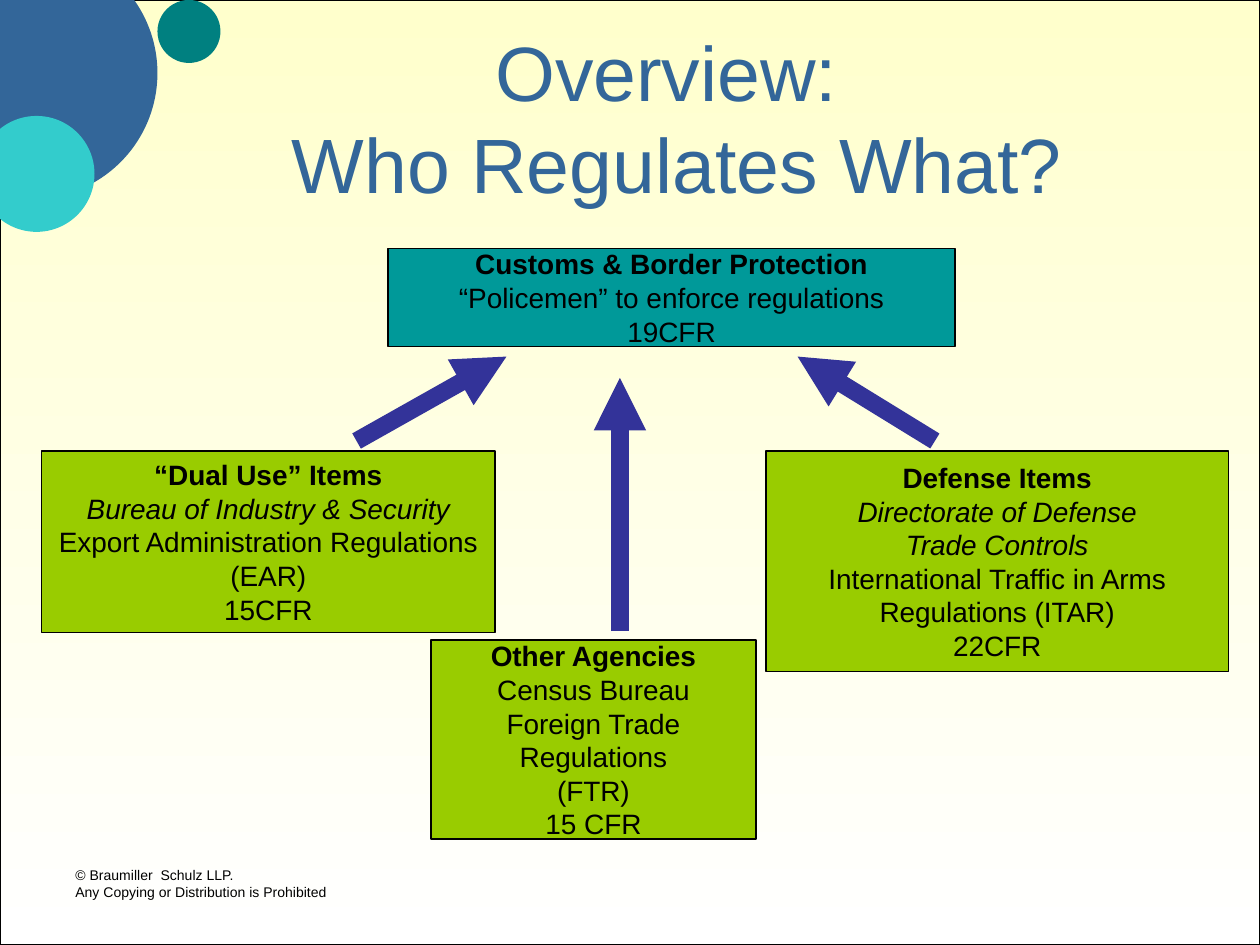
from lxml import etree
from pptx import Presentation
from pptx.dml.color import RGBColor
from pptx.enum import shapes, text
from pptx.oxml.ns import qn
from pptx.util import Inches, Pt

FONT = "Arial"
BLACK, BLUE, TEAL, GREEN, INDIGO = "000000", "336699", "009999", "99CC00", "333399"

CIRCLES = [  # left, top, diameter, colour
    (-0.75, -0.42, 2, BLUE),
    (1.25, 0, 0.5, "008080"),
    (-0.17, 0.92, 0.92, "33CCCC"),
]

AGENCIES = [  # position and size, colour, (line, style) pairs
    ((3.08, 1.97, 4.5, 0.78), TEAL, [
        ("Customs & Border Protection", "bold"),
        ("“Policemen” to enforce regulations", ""),
        ("19CFR", "")]),
    ((0.33, 3.58, 3.6, 1.44), GREEN, [
        ("“Dual Use” Items", "bold"),
        ("Bureau of Industry & Security", "italic"),
        ("Export Administration Regulations (EAR)", ""),
        ("15CFR", "")]),
    ((6.08, 3.58, 3.67, 1.75), GREEN, [
        ("Defense Items", "bold"),
        ("Directorate of Defense", "italic"),
        ("Trade Controls", "italic"),
        ("International Traffic in Arms Regulations (ITAR)", ""),
        ("22CFR", "")]),
    ((3.42, 5.08, 2.58, 1.58), GREEN, [
        ("Other Agencies", "bold"),
        ("Census Bureau", ""),
        ("Foreign Trade Regulations", ""),
        ("(FTR)", ""),
        ("15 CFR", "")]),
]

ARROWS = [  # start, end
    ((4.92, 5.01), (4.92, 3)),
    ((2.83, 3.5), (4.02, 2.83)),
    ((7.42, 3.5), (6.33, 2.83)),
]


def color(value):
    return RGBColor.from_string(value)


def inches(values):
    return [Inches(value) for value in values]


def add_shape(page, kind, place, fill=None, outlined=False):
    shape = page.shapes.add_shape(kind, *inches(place))
    shape.shadow.inherit = False
    if fill:
        shape.fill.solid()
        shape.fill.fore_color.rgb = color(fill)
    if outlined:
        shape.line.color.rgb = color(BLACK)
        shape.line.width = Pt(0.75)
    else:
        shape.line.fill.background()
    return shape


def write_lines(frame, lines, size, fill, align):
    """Fill a text frame with one paragraph per (line, style) pair."""
    frame.word_wrap = True
    frame.text = "\n".join(line for line, _ in lines)
    for para, (_, style) in zip(frame.paragraphs, lines):
        para.alignment = align
        for span in para.runs:
            span.font.name = FONT
            span.font.size = Pt(size)
            span.font.color.rgb = color(fill)
            span.font.bold = style == "bold"
            span.font.italic = style == "italic"


def add_backdrop(page):
    panel = add_shape(page, shapes.MSO_SHAPE.RECTANGLE, (0, 0, 10, 7.5), outlined=True)
    panel.fill.gradient()
    panel.fill.gradient_angle = 270  # top to bottom
    for stop, value, position in zip(panel.fill.gradient_stops, ("FFFFCC", "FFFFFF"), (0, 1)):
        stop.color.rgb = color(value)
        stop.position = position
    for left, top, diameter, fill in CIRCLES:
        add_shape(page, shapes.MSO_SHAPE.OVAL, (left, top, diameter, diameter), fill)


def add_copyright(page):
    box = page.shapes.add_textbox(*inches((0.5, 6.83, 2.33, 0.52)))
    lines = [("© Braumiller  Schulz LLP.", ""),
             ("Any Copying or Distribution is Prohibited", "")]
    write_lines(box.text_frame, lines, 8, BLACK, text.PP_ALIGN.LEFT)


def add_agency(page, place, fill, lines):
    box = add_shape(page, shapes.MSO_SHAPE.RECTANGLE, place, fill, outlined=True)
    box.text_frame.vertical_anchor = text.MSO_ANCHOR.MIDDLE
    write_lines(box.text_frame, lines, 16, BLACK, text.PP_ALIGN.CENTER)


def add_arrow(page, start, end):
    arrow = page.shapes.add_connector(shapes.MSO_CONNECTOR.STRAIGHT, *inches(start + end))
    arrow.line.color.rgb = color(INDIGO)
    arrow.line.width = Pt(10)
    etree.SubElement(arrow.line._get_or_add_ln(), qn("a:tailEnd"), type="triangle")
    etree.SubElement(arrow._element.spPr, qn("a:effectLst"))


def set_title(page):
    title = page.shapes.title
    title.left, title.top, title.width, title.height = inches((1.25, 0.3, 8.25, 1.25))
    frame = title.text_frame
    frame.auto_size = text.MSO_AUTO_SIZE.NONE
    frame.vertical_anchor = text.MSO_ANCHOR.MIDDLE
    # A vertical tab becomes a line break within the paragraph
    write_lines(frame, [("Overview: \vWho Regulates What?", "")], 44, BLUE,
                text.PP_ALIGN.CENTER)
    # Bring the title in front of the backdrop
    title._element.getparent().append(title._element)


def main():
    deck = Presentation()
    deck.slide_width, deck.slide_height = inches((10, 7.5))
    page = deck.slides.add_slide(deck.slide_layouts[5])

    add_backdrop(page)
    add_copyright(page)
    for place, fill, lines in AGENCIES:
        add_agency(page, place, fill, lines)
    for start, end in ARROWS:
        add_arrow(page, start, end)
    set_title(page)

    deck.save("out.pptx")


if __name__ == "__main__":
    main()
